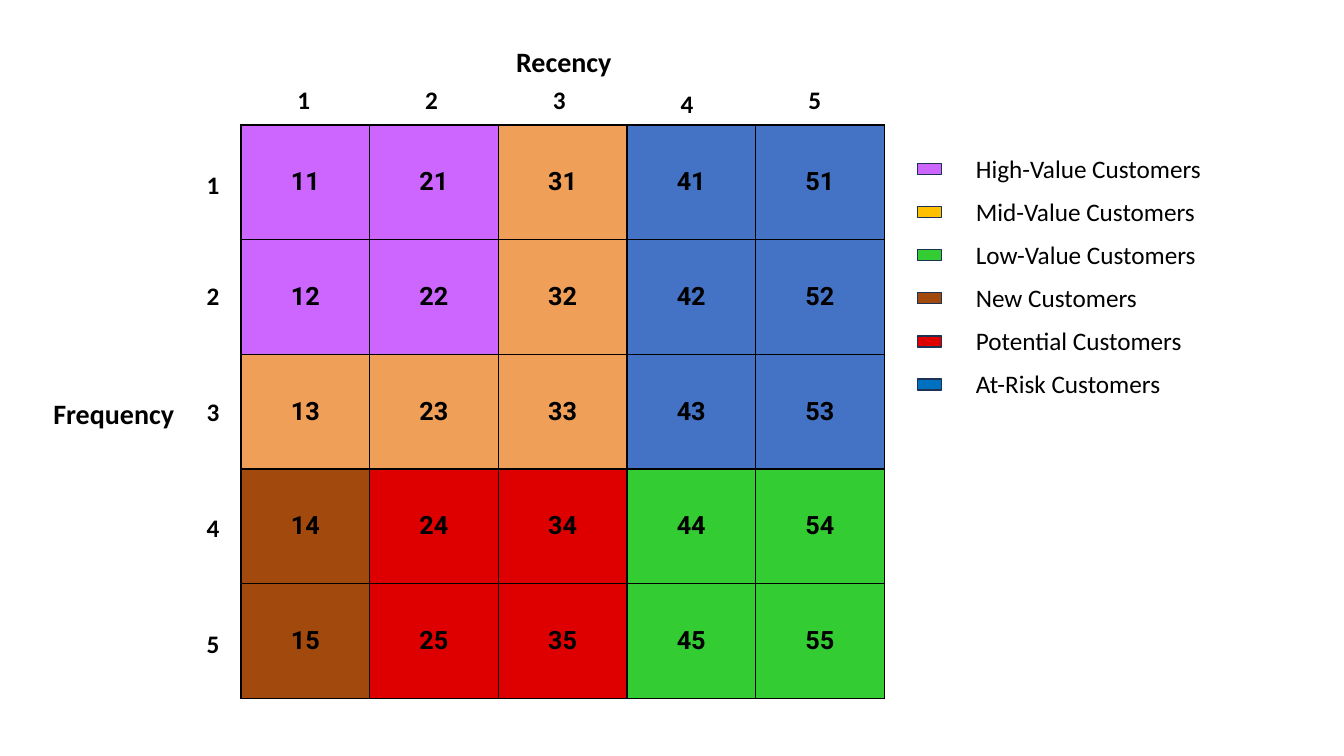
from lxml import etree
from pptx import Presentation
from pptx.dml.color import RGBColor
from pptx.enum.shapes import MSO_SHAPE
from pptx.enum.text import MSO_ANCHOR, PP_ALIGN
from pptx.oxml import parse_xml
from pptx.util import Inches, Pt

RECTANGLE = MSO_SHAPE.RECTANGLE
MIDDLE = MSO_ANCHOR.MIDDLE
CENTER = PP_ALIGN.CENTER

BLACK = RGBColor(0x00, 0x00, 0x00)
NAVY = RGBColor(0x1E, 0x32, 0x56)
PURPLE = RGBColor(0xCC, 0x66, 0xFF)
ORANGE = RGBColor(0xEF, 0x9F, 0x57)
BLUE = RGBColor(0x44, 0x72, 0xC4)
BROWN = RGBColor(0xA2, 0x4A, 0x0E)
RED = RGBColor(0xDE, 0x00, 0x00)
GREEN = RGBColor(0x33, 0xCC, 0x33)
AMBER = RGBColor(0xFF, 0xC0, 0x00)
AZURE = RGBColor(0x00, 0x70, 0xC0)

DRAWING_NS = "http://schemas.openxmlformats.org/drawingml/2006/main"

presentation = Presentation()
presentation.slide_width = Inches(13.33)
presentation.slide_height = Inches(7.5)
slide = presentation.slides.add_slide(presentation.slide_layouts[6])


def write_text(frame, text, size=18, font="Calibri", bold=False, align=None):
    paragraph = frame.paragraphs[0]
    paragraph.alignment = align
    run = paragraph.add_run()
    run.text = text
    run.font.size = Pt(size)
    run.font.name = font
    run.font.bold = bold
    run.font.color.rgb = BLACK


def add_label(text, left, top, width, height=0.4, **text_format):
    box = slide.shapes.add_textbox(
        Inches(left), Inches(top), Inches(width), Inches(height))
    box.text_frame.word_wrap = True
    write_text(box.text_frame, text, **text_format)


# Recency-frequency grid: each cell reads recency, then frequency
segment_rows = [
    [PURPLE, PURPLE, ORANGE, BLUE, BLUE],
    [PURPLE, PURPLE, ORANGE, BLUE, BLUE],
    [ORANGE, ORANGE, ORANGE, BLUE, BLUE],
    [BROWN, RED, RED, GREEN, GREEN],
    [BROWN, RED, RED, GREEN, GREEN],
]
table = slide.shapes.add_table(
    5, 5, Inches(2.39), Inches(1.24), Inches(6.38), Inches(5.69)).table
table.first_row = False
table.horz_banding = False

for row_index, colors in enumerate(segment_rows):
    for column_index, color in enumerate(colors):
        cell = table.cell(row_index, column_index)
        cell.vertical_anchor = MIDDLE
        write_text(cell.text_frame, f"{column_index + 1}{row_index + 1}",
                   font="Roboto", bold=True, align=CENTER)
        # Borders come before the fill in the cell properties
        properties = cell._tc.get_or_add_tcPr()
        for side in ("lnL", "lnR", "lnT", "lnB"):
            properties.append(parse_xml(
                f'<a:{side} xmlns:a="{DRAWING_NS}" w="12700"><a:solidFill>'
                f'<a:srgbClr val="{BLACK}"/></a:solidFill></a:{side}>'))
        fill = etree.SubElement(properties, f"{{{DRAWING_NS}}}solidFill")
        etree.SubElement(fill, f"{{{DRAWING_NS}}}srgbClr", val=str(color))

# Axis titles
add_label("Recency", 5.02, 0.39, 1.31, 0.44, size=20, bold=True)
add_label("Frequency", 0.43, 3.88, 1.52, 0.44, size=20, bold=True)

# Axis scores
frequency_tops = [1.63, 2.73, 3.88, 5.03, 6.18]
recency_tops = [0.79, 0.79, 0.79, 0.83, 0.79]
for index in range(5):
    score = str(index + 1)
    add_label(score, 1.95, frequency_tops[index], 0.59, bold=True)
    add_label(score, 2.85 + 1.267 * index, recency_tops[index], 0.59, bold=True)

# Legend
legend = [
    ("High-Value Customers", PURPLE),
    ("Mid-Value Customers", AMBER),
    ("Low-Value Customers", GREEN),
    ("New Customers", BROWN),
    ("Potential Customers", RED),
    ("At-Risk Customers", AZURE),
]
for index, (name, color) in enumerate(legend):
    top = 1.47 + 0.428 * index
    swatch = slide.shapes.add_shape(
        RECTANGLE, Inches(9.1), Inches(top + 0.15), Inches(0.24), Inches(0.11))
    swatch.shadow.inherit = False
    swatch.fill.solid()
    swatch.fill.fore_color.rgb = color
    swatch.line.color.rgb = NAVY
    swatch.line.width = Pt(1)
    add_label(name, 9.58, top, 2.88)

presentation.save("out.pptx")
